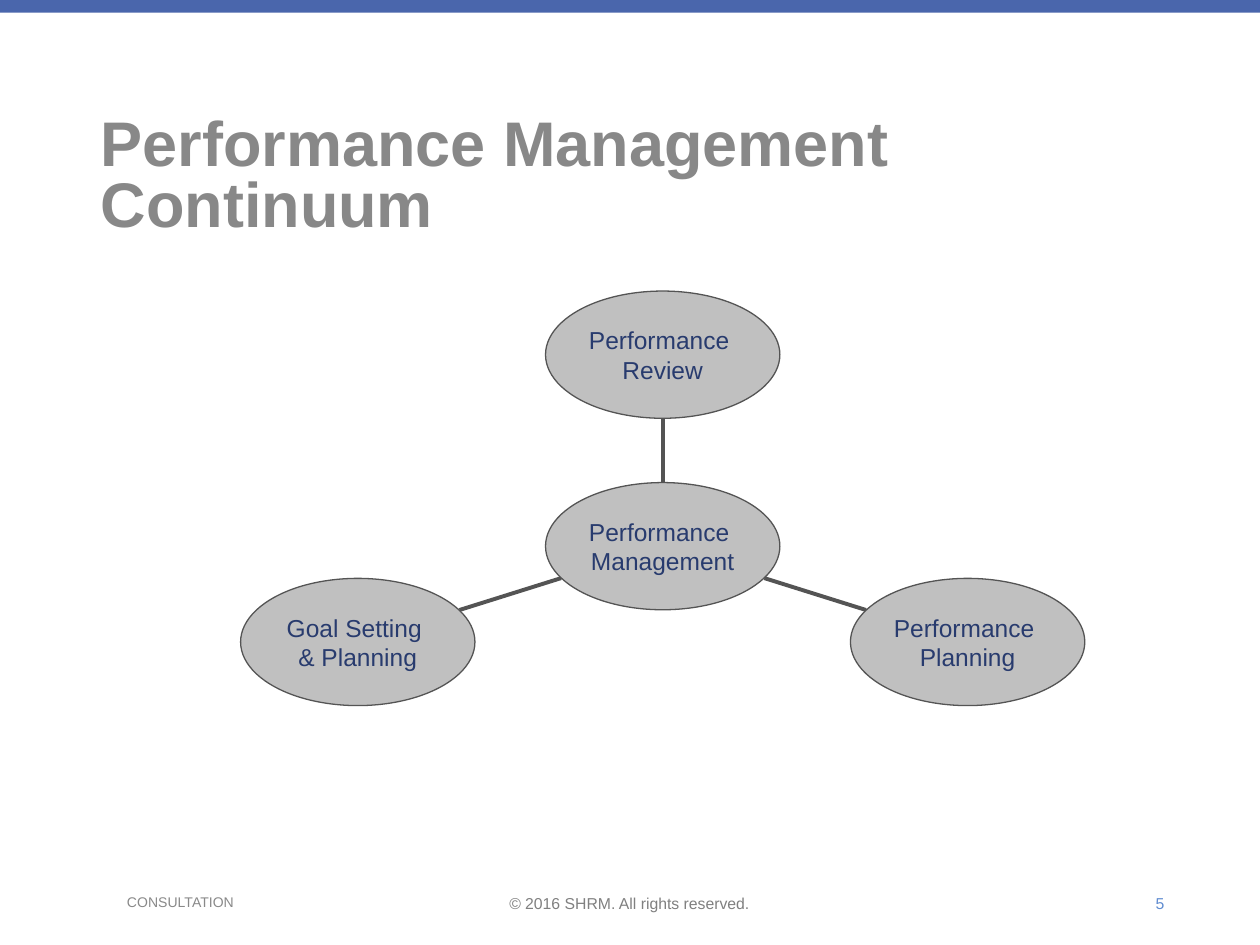
"""Build the performance management continuum slide."""
from dataclasses import dataclass

import lxml.etree
import pptx
import pptx.dml.color
import pptx.enum.shapes
import pptx.enum.text
import pptx.oxml.ns
import pptx.util

Inches = pptx.util.Inches
Align = pptx.enum.text.PP_ALIGN
Anchor = pptx.enum.text.MSO_ANCHOR
Shape = pptx.enum.shapes.MSO_SHAPE


@dataclass(frozen=True)
class Theme:
    """Hold the colours, font and type sizes of the deck."""
    font: str = "Arial"
    band: str = "4A66AC"
    title: str = "888888"
    label: str = "898989"
    notice: str = "808080"
    number: str = "618DD1"
    oval: str = "C0C0C0"
    stroke: str = "545454"
    text: str = "283B6E"
    title_size: int = 36
    node_size: int = 14
    footer_size: int = 9
    label_size: int = 8


THEME = Theme()


@dataclass(frozen=True)
class Box:
    """Describe a rectangle in inches."""
    left: float
    top: float
    width: float
    height: float

    def lengths(self):
        """Return the four sides as slide lengths."""
        return [Inches(side) for side in (self.left, self.top, self.width, self.height)]


def colour(value):
    """Return a hex string as a colour."""
    return pptx.dml.color.RGBColor.from_string(value)


def apply_format(target, values):
    """Set each attribute named in a dict of format values."""
    for name, value in values.items():
        setattr(target, name, value)


def write_lines(frame, lines, size, ink, align=Align.LEFT, bold=False, spacing=None):
    """Write one formatted paragraph for each line."""
    for index, line in enumerate(lines):
        para = frame.paragraphs[0] if index == 0 else frame.add_paragraph()
        apply_format(para, {"alignment": align, "line_spacing": spacing})
        span = para.add_run()
        span.text = line
        apply_format(span.font, {"name": THEME.font, "size": pptx.util.Pt(size), "bold": bold})
        span.font.color.rgb = colour(ink)


def add_band(page, box):
    """Draw the coloured band across the top."""
    band = page.shapes.add_shape(Shape.RECTANGLE, *box.lengths())
    band.shadow.inherit = False
    band.fill.solid()
    band.fill.fore_color.rgb = colour(THEME.band)
    band.line.fill.background()


def add_title(page, box, text):
    """Place and format the title placeholder."""
    title = page.shapes.title
    apply_format(title, dict(zip(("left", "top", "width", "height"), box.lengths())))
    apply_format(title.text_frame, {
        "word_wrap": True,
        "vertical_anchor": Anchor.BOTTOM,
        "auto_size": pptx.enum.text.MSO_AUTO_SIZE.NONE,
    })
    write_lines(title.text_frame, [text], THEME.title_size, THEME.title, bold=True, spacing=0.8)


def add_footer(page, box):
    """Place the label, copyright notice and page number along the bottom."""
    parts = [
        ("CONSULTATION", 0, 2.5, THEME.label_size, THEME.label, Align.LEFT, Anchor.TOP),
        ("© 2016 SHRM. All rights reserved.", 2.4, 3.37, THEME.footer_size, THEME.notice,
         Align.CENTER, Anchor.TOP),
        ("5", box.width - 1.29, 1.29, THEME.footer_size, THEME.number, Align.RIGHT, Anchor.MIDDLE),
    ]
    for text, offset, width, size, ink, align, anchor in parts:
        place = Box(box.left + offset, box.top, width, box.height)
        frame = page.shapes.add_textbox(*place.lengths()).text_frame
        apply_format(frame, {"word_wrap": True, "vertical_anchor": anchor})
        write_lines(frame, [text], size, ink, align)


def add_node(shapes, center, size, lines):
    """Draw one labelled oval around its center."""
    place = Box(center[0] - size[0] / 2, center[1] - size[1] / 2, *size)
    oval = shapes.add_shape(Shape.OVAL, *place.lengths())
    oval.shadow.inherit = False
    oval.fill.solid()
    oval.fill.fore_color.rgb = colour(THEME.oval)
    oval.line.color.rgb = colour(THEME.stroke)
    oval.line.width = pptx.util.Pt(0.75)
    apply_format(oval.text_frame, {
        "margin_left": 0, "margin_top": 0, "margin_right": 0, "margin_bottom": 0,
        "word_wrap": False, "vertical_anchor": Anchor.MIDDLE,
    })
    write_lines(oval.text_frame, lines, THEME.node_size, THEME.text, Align.CENTER)


def add_spoke(shapes, hub, node):
    """Draw a line over the middle third of the way from hub to node."""
    ends = [Inches(start + (stop - start) * share / 3)
            for share in (1, 2) for start, stop in zip(hub, node)]
    spoke = shapes.add_connector(pptx.enum.shapes.MSO_CONNECTOR.STRAIGHT, *ends)
    spoke.line.color.rgb = colour(THEME.stroke)
    spoke.line.width = pptx.util.Pt(2.25)
    lxml.etree.SubElement(spoke._element.spPr, pptx.oxml.ns.qn("a:effectLst"))


def add_continuum(page, box):
    """Draw the hub and its three outer ovals as one group."""
    size = (1.86, 1.01)
    middle = box.left + box.width / 2
    upper = box.top + size[1] / 2
    lower = box.top + box.height - size[1] / 2
    hub = (middle, upper + (lower - upper) * 2 / 3)
    nodes = [
        ((box.left + size[0] / 2, lower), ["Goal Setting ", "& Planning"]),
        ((box.left + box.width - size[0] / 2, lower), ["Performance ", "Planning"]),
        ((middle, upper), ["Performance ", "Review"]),
    ]
    shapes = page.shapes.add_group_shape().shapes
    for center, lines in nodes:
        add_spoke(shapes, hub, center)
        add_node(shapes, center, size, lines)
    add_node(shapes, hub, size, ["Performance ", "Management"])


def main():
    """Build and save the deck."""
    deck = pptx.Presentation()
    apply_format(deck, {"slide_width": Inches(10), "slide_height": Inches(7.5)})
    page = deck.slides.add_slide(deck.slide_layouts[5])
    add_band(page, Box(0, 0, 10, 0.1))
    add_title(page, Box(0.7, 0.7, 8.65, 1.25), "Performance Management Continuum")
    add_continuum(page, Box(1.91, 2.31, 6.7, 3.29))
    add_footer(page, Box(0.91, 7.04, 8.43, 0.25))
    deck.save("out.pptx")


if __name__ == "__main__":
    main()
